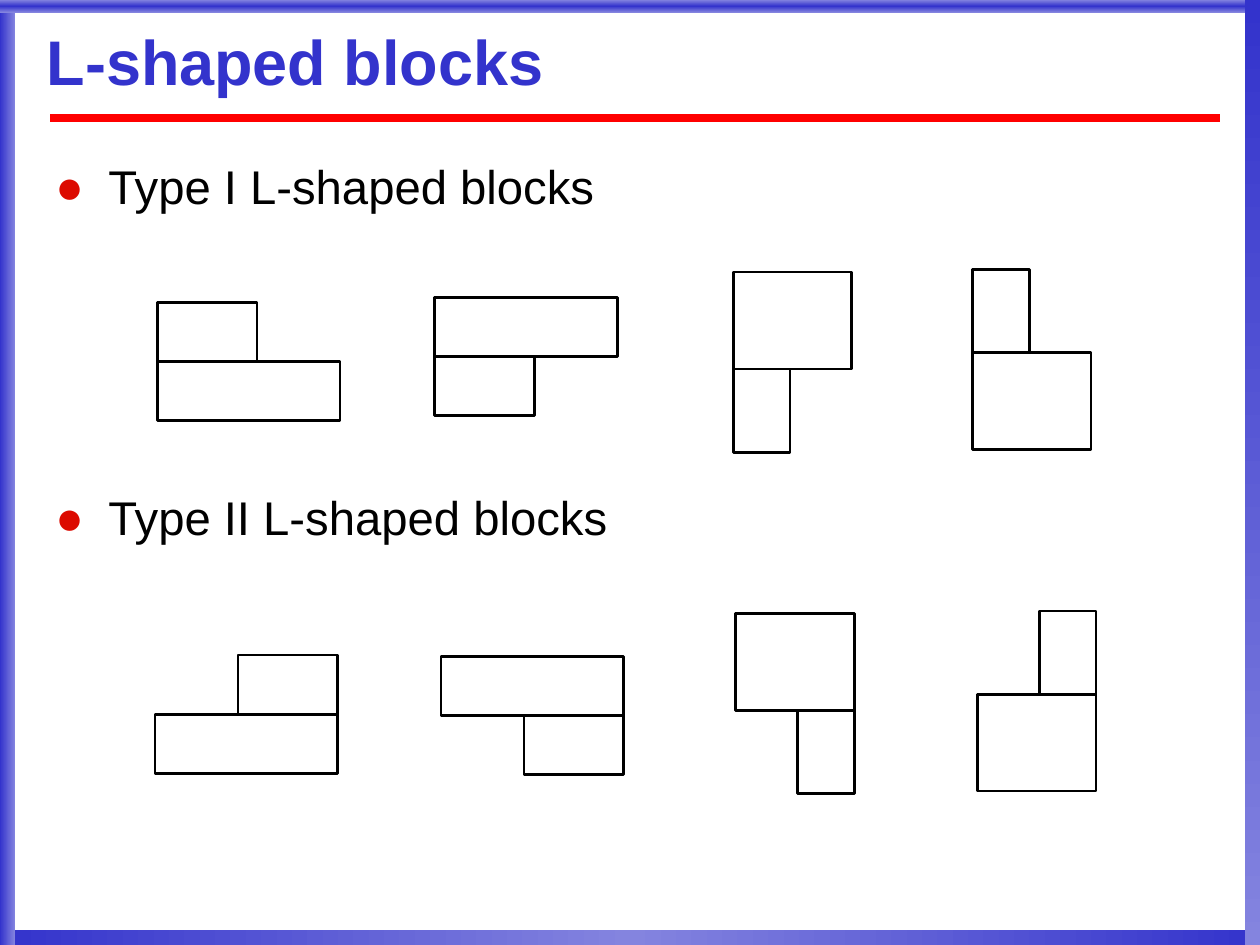
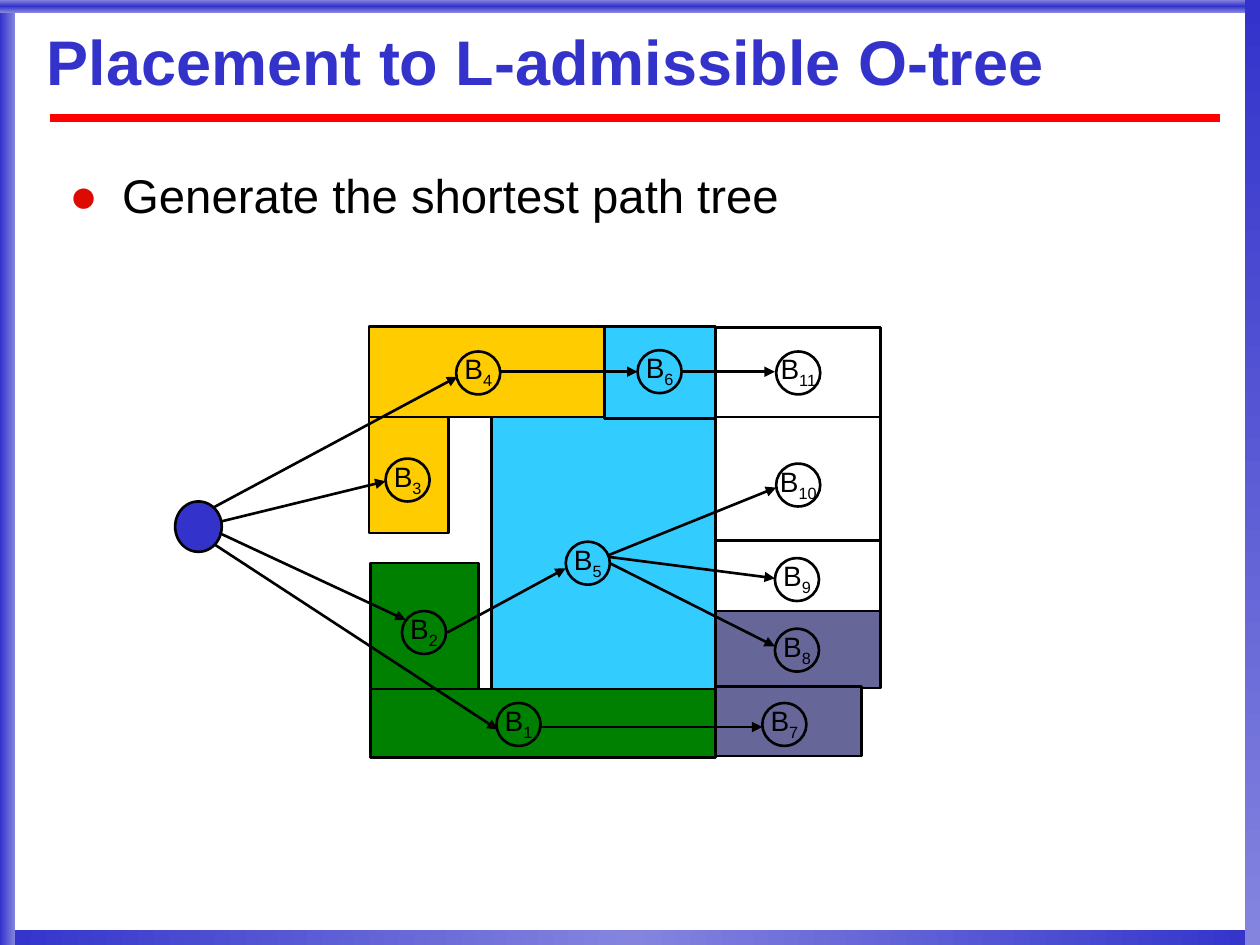
from typing import NamedTuple

from lxml.etree import SubElement
from pptx import Presentation
from pptx.dml.color import RGBColor
from pptx.enum.shapes import MSO_CONNECTOR, MSO_SHAPE
from pptx.enum.text import MSO_ANCHOR, MSO_AUTO_SIZE, PP_ALIGN
from pptx.oxml import parse_xml
from pptx.oxml.ns import nsdecls, qn
from pptx.util import Inches, Pt

FONT = "Arial"
BLUE, PALE, RED, BLACK = "3333CC", "8484DF", "FF0000", "000000"
GOLD, GREEN, SKY, SLATE = "FFCC00", "008000", "33CCFF", "666699"
BULLET = "DC0A00"


class Box(NamedTuple):
    x: float
    y: float
    w: float
    h: float
    fill: str | None = None


class Band(NamedTuple):
    box: Box
    stops: tuple[str, ...]
    angle: int


class Pair(NamedTuple):
    """A main block with a smaller foot above or below it."""
    x: float
    y: float
    wide: bool
    above: bool
    right: bool


class Node(NamedTuple):
    num: int
    x: float
    y: float


class Line(NamedTuple):
    x1: float
    y1: float
    x2: float
    y2: float


BANDS = [
    Band(Box(0, 7.38, 10, 0.13), (BLUE, PALE, BLUE), 180),
    Band(Box(0, 0, 0.12, 7.5), (PALE, BLUE), 180),
    Band(Box(0, 0, 10, 0.1), (PALE, BLUE, PALE), 90),
    Band(Box(9.88, 0, 0.12, 7.5), (BLUE, PALE), 90),
]

PAIRS = [
    # Type I: foot flush left
    Pair(1.25, 2.4, True, True, False),
    Pair(3.45, 2.36, True, False, False),
    Pair(5.82, 2.16, False, False, False),
    Pair(7.72, 2.14, False, True, False),
    # Type II: foot flush right
    Pair(1.23, 5.2, True, True, True),
    Pair(3.5, 5.21, True, False, True),
    Pair(5.84, 4.87, False, False, True),
    Pair(7.76, 4.85, False, True, True),
]

BLOCKS = [
    Box(5.68, 4.29, 1.31, 0.56),
    Box(5.67, 4.85, 1.32, 0.61, SLATE),
    Box(2.93, 2.59, 1.87, 0.72, GOLD),
    Box(2.93, 3.31, 0.63, 0.92, GOLD),
    Box(2.94, 4.47, 0.86, 1, GREEN),
    Box(2.94, 5.47, 2.74, 0.54, GREEN),
    Box(3.9, 3.31, 1.78, 2.16, SKY),
    Box(4.8, 2.59, 0.88, 0.73, SKY),
    Box(5.68, 3.31, 1.31, 0.98),
    Box(5.68, 2.6, 1.31, 0.71),
    Box(5.68, 5.45, 1.16, 0.55, SLATE),
]
ROOT = Box(1.39, 3.98, 0.37, 0.4, BLUE)

NODES = [
    Node(1, 3.94, 5.58), Node(2, 3.19, 4.85), Node(3, 3.06, 3.64),
    Node(4, 3.62, 2.79), Node(5, 4.49, 4.3), Node(6, 5.06, 2.78),
    Node(7, 6.05, 5.58), Node(8, 6.15, 4.99), Node(9, 6.15, 4.43),
    Node(10, 6.16, 3.68), Node(11, 6.16, 2.79),
]

ARROWS = [
    Line(1.69, 4.03, 3.63, 2.99),
    Line(1.74, 4.23, 3.22, 4.92),
    Line(1.7, 4.32, 3.95, 5.79),
    Line(3.97, 2.95, 5.06, 2.95),
    Line(3.55, 5.02, 4.49, 4.51),
    Line(4.29, 5.77, 6.05, 5.77),
    Line(5.42, 2.95, 6.15, 2.95),
    Line(1.75, 4.14, 3.06, 3.82),
    Line(4.84, 4.47, 6.15, 5.13),
    Line(4.83, 4.42, 6.15, 4.59),
    Line(4.82, 4.41, 6.16, 3.87),
]


def rgb(code: str) -> RGBColor:
    return RGBColor.from_string(code)


def set_font(font, size: float, code: str = BLACK, bold: bool = False) -> None:
    font.name, font.size, font.bold = FONT, Pt(size), bold
    font.color.rgb = rgb(code)


def place(shape, box: Box) -> None:
    shape.left, shape.top = Inches(box.x), Inches(box.y)
    shape.width, shape.height = Inches(box.w), Inches(box.h)


def add_box(shapes, box: Box, kind=MSO_SHAPE.RECTANGLE):
    shape = shapes.add_shape(kind, *(Inches(v) for v in box[:4]))
    shape.shadow.inherit = False
    if box.fill:
        shape.fill.solid()
        shape.fill.fore_color.rgb = rgb(box.fill)
    else:
        shape.fill.background()
    shape.line.color.rgb = rgb(BLACK)
    shape.line.width = Pt(1.5)
    return shape


def add_line(shapes, line: Line, code: str, width: float, arrow: bool):
    link = shapes.add_connector(MSO_CONNECTOR.STRAIGHT, *(Inches(v) for v in line))
    link.line.color.rgb = rgb(code)
    link.line.width = Pt(width)
    props = link.element.spPr
    if arrow:
        SubElement(props.find(qn("a:ln")), qn("a:tailEnd"), type="triangle")
    SubElement(props, qn("a:effectLst"))
    return link


def add_band(shapes, band: Band):
    shape = add_box(shapes, band.box)
    shape.line.fill.background()
    last = len(band.stops) - 1
    stops = "".join(
        f'<a:gs pos="{100000 * i // last}"><a:srgbClr val="{code}"/></a:gs>'
        for i, code in enumerate(band.stops))
    props = shape.element.spPr
    props.replace(props.find(qn("a:noFill")), parse_xml(
        f'<a:gradFill {nsdecls("a")} rotWithShape="1"><a:gsLst>{stops}</a:gsLst>'
        f'<a:lin ang="{band.angle * 60000}" scaled="0"/></a:gradFill>'))
    return shape


def dress_master(prs, slide) -> None:
    """Draw the frame and the title rule, then move them to the master."""
    parts = [add_band(slide.shapes, band) for band in BANDS]
    rule = Line(0.4, 0.94, 9.68, 0.94)
    parts.append(add_line(slide.shapes, rule, RED, 4.5, False))
    tree = prs.slide_master.placeholders[0].element.getparent()
    for part in parts:
        tree.append(part.element)


def set_title(slide, text: str) -> None:
    title = slide.shapes.title
    place(title, Box(0.37, 0.15, 9.3, 0.74))
    frame = title.text_frame
    frame.auto_size = MSO_AUTO_SIZE.NONE
    frame.vertical_anchor = MSO_ANCHOR.MIDDLE
    frame.margin_left = frame.margin_right = 0
    frame.margin_top = frame.margin_bottom = 0
    para = frame.paragraphs[0]
    para.alignment, para.line_spacing = PP_ALIGN.LEFT, 0.87
    set_font(para.font, 36, BLUE, True)
    run = para.add_run()
    run.text = text
    run.font.bold = True
    # Soft grey text shadow
    title.element.find(".//" + qn("a:rPr")).append(parse_xml(
        f'<a:effectLst {nsdecls("a")}><a:outerShdw dist="28575" dir="2700000">'
        '<a:srgbClr val="C0C0C0"/></a:outerShdw></a:effectLst>'))


def set_list(slide, x: float, y: float, items: list[str], gap: float = 0) -> None:
    body = slide.placeholders[1]
    place(body, Box(x, y, 9.08, 5.81))
    frame = body.text_frame
    frame.auto_size = MSO_AUTO_SIZE.NONE
    frame.vertical_anchor = MSO_ANCHOR.TOP
    frame.text = "\n".join(items)
    for para in frame.paragraphs:
        para.line_spacing = 0.93
        para.space_before, para.space_after = Pt(16.9), Pt(gap)
        set_font(para.font, 27)
    # Red round bullets with a hanging indent
    for props in body.element.iter(qn("a:pPr")):
        props.set("marL", str(Inches(0.42)))
        props.set("indent", str(-Inches(0.42)))
        for part in (f'<a:buClr {nsdecls("a")}><a:srgbClr val="{BULLET}"/></a:buClr>',
                     f'<a:buFont {nsdecls("a")} typeface="{FONT}"/>',
                     f'<a:buChar {nsdecls("a")} char="●"/>'):
            props.find(qn("a:defRPr")).addprevious(parse_xml(part))


def add_pair(shapes, pair: Pair) -> None:
    main, foot = ((1.45, 0.47), (0.79, 0.47)) if pair.wide else ((0.94, 0.77), (0.45, 0.66))
    shift = main[0] - foot[0] if pair.right else 0
    low, high = (foot[1], 0) if pair.above else (0, main[1])
    group = shapes.add_group_shape()
    add_box(group.shapes, Box(pair.x, pair.y + low, *main))
    add_box(group.shapes, Box(pair.x + shift, pair.y + high, *foot))


def add_node(shapes, node: Node) -> None:
    group = shapes.add_group_shape()
    size = 0.35
    width = 0.42 if node.num < 10 else 0.49
    label = group.shapes.add_textbox(
        Inches(node.x + (size - width) / 2), Inches(node.y - 0.05),
        Inches(width), Inches(0.41))
    frame = label.text_frame
    frame.word_wrap = False
    frame.vertical_anchor = MSO_ANCHOR.MIDDLE
    para = frame.paragraphs[0]
    para.alignment = PP_ALIGN.CENTER
    set_font(para.font, 16)
    for text in ("B", str(node.num)):
        run = para.add_run()
        run.text = text
        set_font(run.font, 16)
    # The number is a subscript
    label.element.findall(".//" + qn("a:rPr"))[-1].set("baseline", "-25000")
    add_box(group.shapes, Box(node.x, node.y, size, 0.34), MSO_SHAPE.OVAL)


def main() -> None:
    prs = Presentation()
    prs.slide_width, prs.slide_height = Inches(10), Inches(7.5)
    layout = prs.slide_layouts[1]

    # Slide 1: the two types of block
    slide = prs.slides.add_slide(layout)
    dress_master(prs, slide)
    set_title(slide, "L-shaped blocks")
    set_list(slide, 0.34, 1.24,
             ["Type I L-shaped blocks", "Type II L-shaped blocks"], 142)
    for pair in PAIRS:
        add_pair(slide.shapes, pair)

    # Slide 2: the placement and its tree
    slide = prs.slides.add_slide(layout)
    set_title(slide, "Placement to L-admissible O-tree")
    set_list(slide, 0.45, 1.31, ["Generate the shortest path tree"])
    for block in BLOCKS:
        add_box(slide.shapes, block)
    add_box(slide.shapes, ROOT, MSO_SHAPE.OVAL)
    for node in NODES:
        add_node(slide.shapes, node)
    for arrow in ARROWS:
        add_line(slide.shapes, arrow, BLACK, 1.5, True)

    prs.save("out.pptx")


if __name__ == "__main__":
    main()
